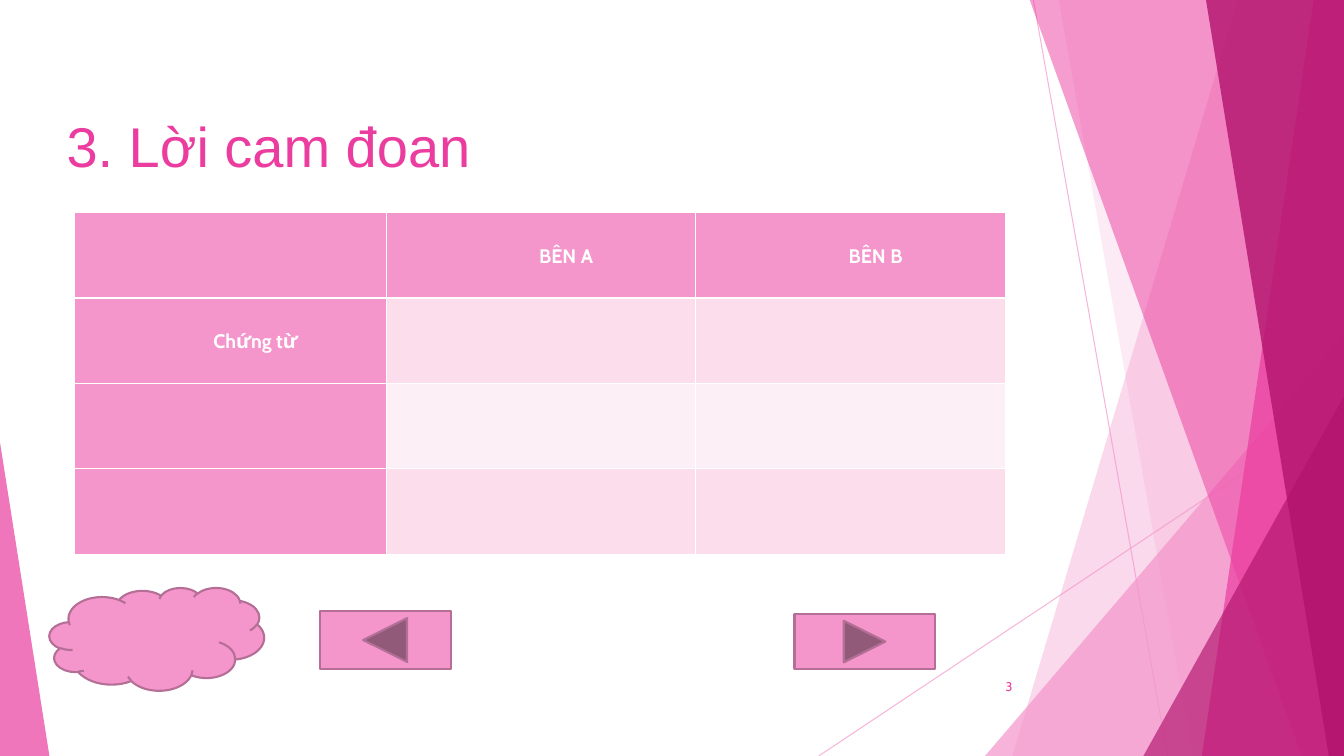
from lxml import etree
from pptx import Presentation
from pptx.dml.color import RGBColor
from pptx.enum import shapes, text
from pptx.oxml import ns
from pptx.util import Inches, Pt

WHITE = RGBColor(0xFF, 0xFF, 0xFF)
PINK = RGBColor(0xF4, 0x96, 0xCB)
ROSE = RGBColor(0xEB, 0x3D, 0x9F)
WINE = RGBColor(0xB2, 0x13, 0x6D)
MAUVE = RGBColor(0xB5, 0x6F, 0x96)
BLUSH = RGBColor(0xFB, 0xDD, 0xEC)
PALE = RGBColor(0xFD, 0xEF, 0xF6)
KINDS = shapes.MSO_SHAPE

WIDTH, HEIGHT = 13.33, 7.5
TOP = -0.01
HEADS = ["", "BÊN A", "BÊN B"]
ROWS = [HEADS, ["Chứng từ", "", ""], [""] * 3, [""] * 3]


def fade(shape, alpha):
    for color in shape._element.spPr.iter(ns.qn("a:srgbClr")):
        etree.SubElement(color, ns.qn("a:alpha")).set("val", str(alpha * 1000))


def paint(shape, color, alpha=None, edge=None):
    shape.shadow.inherit = False
    shape.fill.solid()
    shape.fill.fore_color.rgb = color
    if alpha:
        fade(shape, alpha)
    if edge:
        shape.line.color.rgb = edge
        shape.line.width = Pt(1.5)
    else:
        shape.line.fill.background()


def add_ray(slide, *ends):
    ray = slide.shapes.add_connector(
        shapes.MSO_CONNECTOR.STRAIGHT, *map(Inches, ends))
    ray.line.color.rgb = PINK
    ray.line.width = Pt(0.75)
    fade(ray, 70)
    etree.SubElement(ray._element.spPr, ns.qn("a:effectLst"))


def add_band(slide, head, foot, color, alpha):
    """Band from a slanted left edge to the right side of the slide."""
    points = [(head, TOP), (WIDTH, TOP), (WIDTH, HEIGHT), (foot, HEIGHT)]
    start, *rest = [(Inches(x), Inches(y)) for x, y in points]
    pen = slide.shapes.build_freeform(*start)
    pen.add_line_segments(rest)
    paint(pen.convert_to_shape(), color, alpha)


def add_form(slide, kind, box, color, alpha=None, edge=None):
    form = slide.shapes.add_shape(kind, *map(Inches, box))
    paint(form, color, alpha, edge)
    return form


def add_wedge(slide, left, top, wide, tip, color, alpha):
    """Right triangle that stands on the bottom of the slide."""
    box = left, top, wide, HEIGHT - top
    wedge = add_form(slide, KINDS.ISOSCELES_TRIANGLE, box, color, alpha)
    wedge.adjustments[0] = tip


def set_font(para, name, size, color, bold=False):
    font = para.font
    font.name, font.size, font.bold = name, Pt(size), bold
    font.color.rgb = color


def add_title(slide, words):
    title = slide.shapes.title
    title.left, title.top = Inches(0.56), Inches(1.06)
    title.width, title.height = Inches(9.4), Inches(1.44)
    frame = title.text_frame
    frame.text = words
    frame.vertical_anchor = text.MSO_ANCHOR.TOP
    para = frame.paragraphs[0]
    para.alignment = text.PP_ALIGN.LEFT
    set_font(para, "Arial", 40, ROSE)


def fill_cell(cell, words, color):
    cell.fill.solid()
    cell.fill.fore_color.rgb = color
    if not words:
        return
    cell.text = words
    cell.vertical_anchor = text.MSO_ANCHOR.MIDDLE
    cell.margin_left = cell.margin_right = Inches(0.07)
    cell.margin_top = cell.margin_bottom = 0
    para = cell.text_frame.paragraphs[0]
    para.alignment = text.PP_ALIGN.CENTER
    para.line_spacing = 1.07
    para.space_after = Pt(6)
    para._p.get_or_add_pPr().set("marL", str(Inches(0.5)))
    set_font(para, "Cabin", 14, WHITE, True)


def add_grid(slide):
    box = map(Inches, (0.74, 2.11, 9.22, 3.39))
    grid = slide.shapes.add_table(len(ROWS), len(HEADS), *box).table
    grid.first_col = True
    for col, wide in zip(grid.columns, (3.09, 3.07, 3.07)):
        col.width = Inches(wide)
    for r, row in enumerate(ROWS):
        for c, words in enumerate(row):
            body = BLUSH if r % 2 else PALE
            fill_cell(grid.cell(r, c), words, body if r and c else PINK)


def add_number(slide, words):
    box = map(Inches, (9.39, 6.61, 0.75, 0.4))
    frame = slide.shapes.add_textbox(*box).text_frame
    frame.word_wrap = True
    frame.vertical_anchor = text.MSO_ANCHOR.MIDDLE
    frame.text = words
    para = frame.paragraphs[0]
    para.alignment = text.PP_ALIGN.RIGHT
    set_font(para, "Cabin", 9, ROSE)


def add_decor(slide):
    add_ray(slide, 10.25, 0, 11.58, HEIGHT)
    add_ray(slide, WIDTH, 4.03, 8.12, HEIGHT)
    add_band(slide, 12.28, 10.04, PINK, 36)
    add_band(slide, 10.5, 11.83, PINK, 20)
    add_wedge(slide, 9.77, 3.33, 3.56, 1, PINK, 72)
    add_band(slide, 10.21, 12.91, ROSE, 50)
    add_band(slide, 13.03, 11.92, ROSE, 70)
    add_band(slide, 11.96, 13.18, WINE, 80)
    add_wedge(slide, 11.34, 3.93, 1.99, 1, WINE, 66)
    add_wedge(slide, 0, 4.39, 0.49, 0, ROSE, 70)


def main():
    deck = Presentation()
    deck.slide_width, deck.slide_height = Inches(WIDTH), Inches(HEIGHT)
    slide = deck.slides.add_slide(deck.slide_layouts[5])

    # Backdrop
    add_decor(slide)

    # Content
    add_title(slide, "3. Lời cam đoan")
    add_grid(slide)
    add_number(slide, "3")

    # Cloud and navigation buttons
    for kind, box in [
        (KINDS.CLOUD, (0.49, 5.83, 2.13, 1.02)),
        (KINDS.ACTION_BUTTON_FORWARD_OR_NEXT, (7.88, 6.09, 1.39, 0.55)),
        (KINDS.ACTION_BUTTON_BACK_OR_PREVIOUS, (3.17, 6.06, 1.3, 0.58)),
    ]:
        add_form(slide, kind, box, PINK, edge=MAUVE)

    deck.save("out.pptx")


if __name__ == "__main__":
    main()
